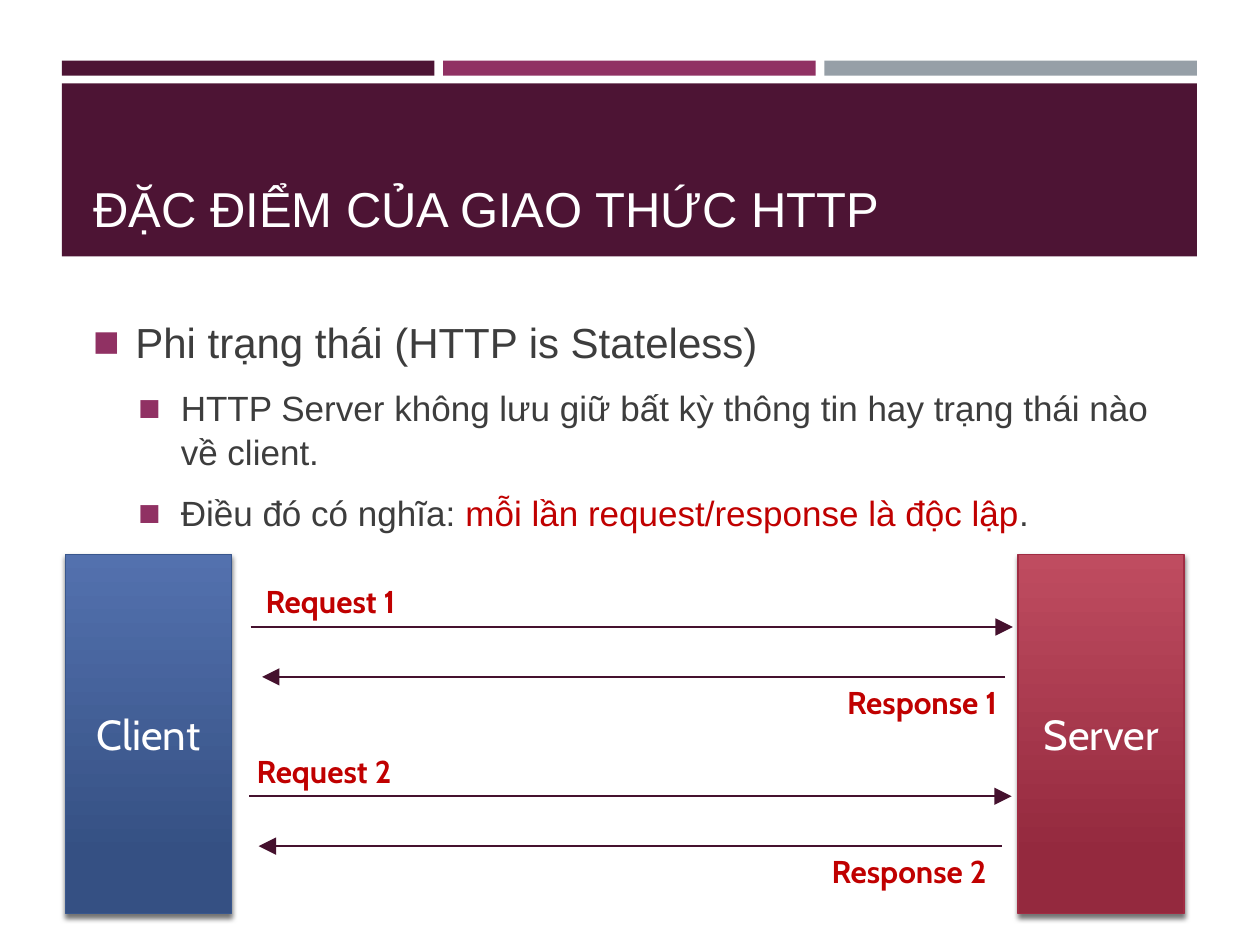
import pptx
import pptx.util
import pptx.dml.color
import pptx.enum.shapes
import pptx.enum.text
import pptx.oxml
import pptx.oxml.ns
from lxml import etree

Pt = pptx.util.Pt
ALIGN = pptx.enum.text.PP_ALIGN
ANCHOR = pptx.enum.text.MSO_ANCHOR
RECT = pptx.enum.shapes.MSO_SHAPE.RECTANGLE
STRAIGHT = pptx.enum.shapes.MSO_CONNECTOR.STRAIGHT
qn = pptx.oxml.ns.qn


def rgb(value):
    return pptx.dml.color.RGBColor.from_string(value)


def add_xml(parent, tag, **attrs):
    return etree.SubElement(parent, qn(tag), attrs)


def add_text(p, text, size=20, font="Arial", color="3D3D3D", bold=False, align=ALIGN.LEFT):
    p.alignment = align
    r = p.add_run()
    r.text = text
    r.font.size = Pt(size)
    r.font.name = font
    r.font.bold = bold
    r.font.color.rgb = rgb(color)


def place(sp, x, y, w, h):
    sp.left, sp.top, sp.width, sp.height = Pt(x), Pt(y), Pt(w), Pt(h)


def add_rect(s, x, y, w, h, color=None):
    sp = s.shapes.add_shape(RECT, Pt(x), Pt(y), Pt(w), Pt(h))
    sp.shadow.inherit = False
    if color:
        sp.fill.solid()
        sp.fill.fore_color.rgb = rgb(color)
        sp.line.fill.background()
    return sp


def add_header(s, x, y, w, h, title):
    # Three-colour strip above the banner
    gap, strip = 5, 8.6
    bar = (w - 2 * gap) / 3
    for i, color in enumerate(("4D1434", "903163", "969FA7")):
        add_rect(s, x + i * (bar + gap), y, bar, strip, color)
    top = strip + gap - 0.6
    add_rect(s, x, y + top, w, h - top, "4D1434")

    # Title, brought in front of the banner
    sp = s.shapes.title
    place(sp, x + 10.8, y + 19.4, w - 19.4, 85)
    sp.element.getparent().append(sp.element)
    tf = sp.text_frame
    tf.auto_size = pptx.enum.text.MSO_AUTO_SIZE.NONE
    tf.vertical_anchor = ANCHOR.BOTTOM
    add_text(tf.paragraphs[0], title, size=28, color="FFFFFF")


def add_bullets(s, x, y, w, h, items):
    sp = s.placeholders[1]
    place(sp, x, y, w, h)
    tf = sp.text_frame
    tf.auto_size = pptx.enum.text.MSO_AUTO_SIZE.NONE
    for i, (level, runs) in enumerate(items):
        p = tf.add_paragraph() if i else tf.paragraphs[0]
        p.level = level
        p.line_spacing = 1.05
        p.space_before = Pt(10 * level)
        for text, color in runs:
            add_text(p, text, size=24 - 4 * level, color=color)
        # Square bullet with a hanging indent
        pPr = p._p.get_or_add_pPr()
        pPr.set("marL", str(Pt(24 + 26 * level)))
        pPr.set("indent", str(Pt(-24)))
        add_xml(add_xml(pPr, "a:buClr"), "a:srgbClr", val="903163")
        add_xml(pPr, "a:buFont", typeface="Arial")
        add_xml(pPr, "a:buChar", char="◼")


def add_node(s, x, y, w, h, name, top_color, bottom_color, line_color):
    sp = add_rect(s, x, y, w, h)
    sp.fill.gradient()
    sp.fill.gradient_angle = 270
    stops = zip(sp.fill.gradient_stops, (0, 0.84), (top_color, bottom_color))
    for stop, position, color in stops:
        stop.position = position
        stop.color.rgb = rgb(color)
    sp.line.color.rgb = rgb(line_color)
    sp.line.width = Pt(1)
    # Soft shadow below the box
    effects = sp._element.spPr.find(qn("a:effectLst"))
    shadow = add_xml(effects, "a:outerShdw", blurRad=str(Pt(3)), dist=str(Pt(2)),
                     dir="5400000", rotWithShape="0")
    add_xml(add_xml(shadow, "a:srgbClr", val="000000"), "a:alpha", val="55000")
    tf = sp.text_frame
    tf.vertical_anchor = ANCHOR.MIDDLE
    add_text(tf.paragraphs[0], name, size=24, font="Cabin", color="FFFFFF",
             align=ALIGN.CENTER)


def add_arrow(s, x1, x2, y):
    c = s.shapes.add_connector(STRAIGHT, Pt(x1), Pt(y), Pt(x2), Pt(y))
    c.line.color.rgb = rgb("45112E")
    c.line.width = Pt(1)
    add_xml(c.line._get_or_add_ln(), "a:tailEnd", type="triangle", w="lg", len="lg")
    add_xml(c._element.spPr, "a:effectLst")


def add_label(s, x, y, w, text, align):
    sp = s.shapes.add_textbox(Pt(x), Pt(y), Pt(w), Pt(29))
    sp.text_frame.word_wrap = True
    add_text(sp.text_frame.paragraphs[0], text, size=18, font="Cabin",
             color="C00000", bold=True, align=align)


def add_exchange(s, x, y, w, h):
    # Client and server at the two ends
    node_w = 95
    add_node(s, x, y, node_w, h, "Client", "5371AE", "355083", "39578D")
    add_node(s, x + w - node_w, y, node_w, h, "Server", "BF4C60", "94293E", "A02C43")

    # Request and response pairs: (request x, response right, labels' left and right)
    pairs = [(105.8, 537, 107.3, 539.5), (105.1, 535, 102.2, 533.5)]
    for i, (request_x, response_x, label_left, label_right) in enumerate(pairs):
        top = y + 41.5 + 96.7 * i
        add_arrow(s, x + request_x, x + request_x + 435.6, top)
        add_label(s, x + label_left, top - 29, 100, f"Request {i + 1}", ALIGN.LEFT)
        add_arrow(s, x + response_x, x + response_x - 424.6, top + 28.5)
        add_label(s, x + label_right - 114, top + 28.5, 114, f"Response {i + 1}",
                  ALIGN.RIGHT)


def main():
    prs = pptx.Presentation()
    prs.slide_width, prs.slide_height = Pt(720), Pt(540)
    s = prs.slides.add_slide(prs.slide_layouts[1])
    dark, red = "3D3D3D", "C00000"
    add_header(s, 35.3, 34.6, 648.7, 111.9, "ĐẶC ĐIỂM CỦA GIAO THỨC HTTP")
    add_bullets(s, 46.1, 175.7, 629.3, 342, [
        (0, [("Phi trạng thái (HTTP is Stateless)", dark)]),
        (1, [("HTTP Server không lưu giữ bất kỳ thông tin hay trạng thái nào về client.",
              dark)]),
        (1, [("Điều đó có nghĩa: ", dark),
             ("mỗi lần request/response là độc lập", red), (".", dark)]),
    ])
    add_exchange(s, 37.4, 316.8, 639.4, 205.2)
    prs.save("out.pptx")


if __name__ == "__main__":
    main()
